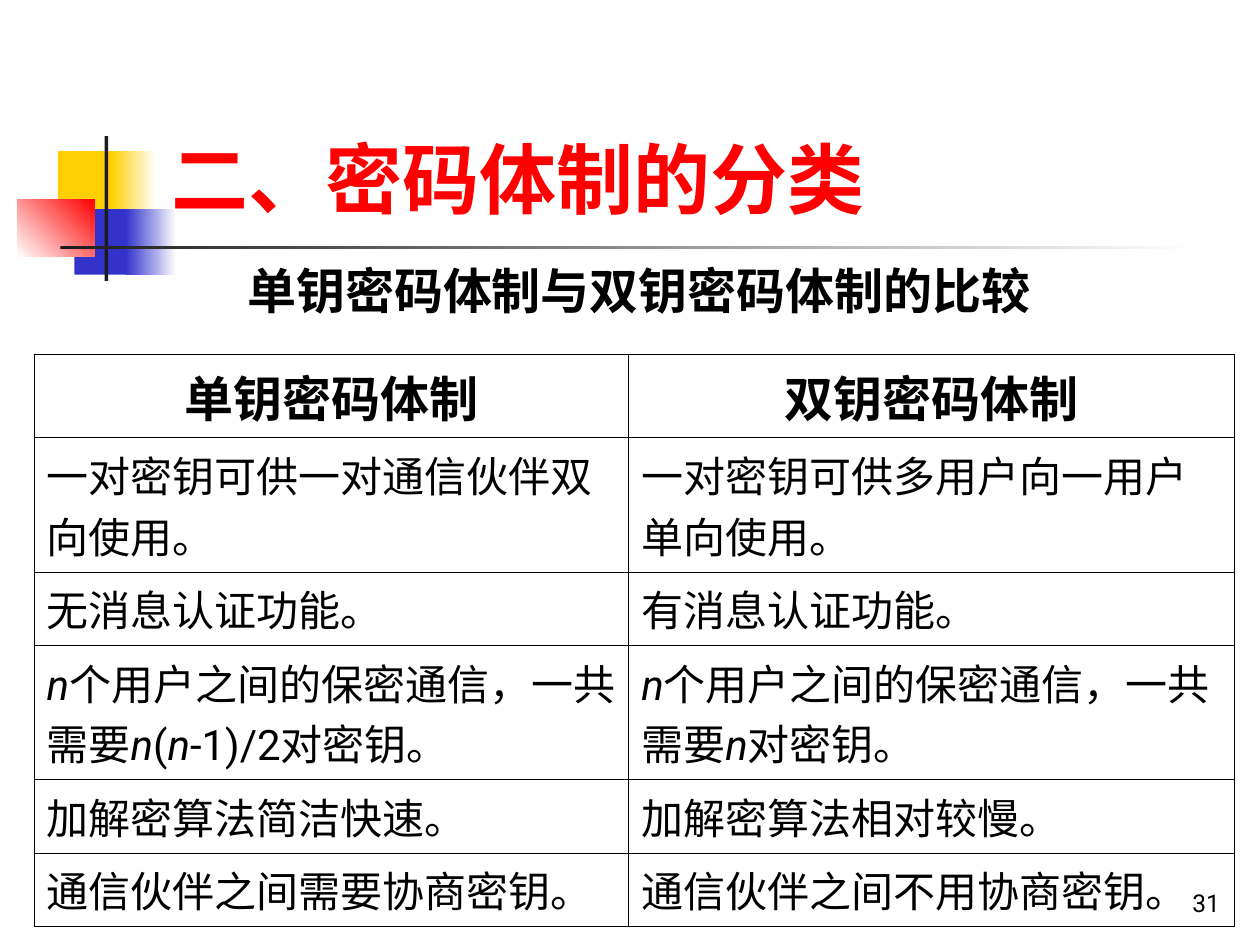
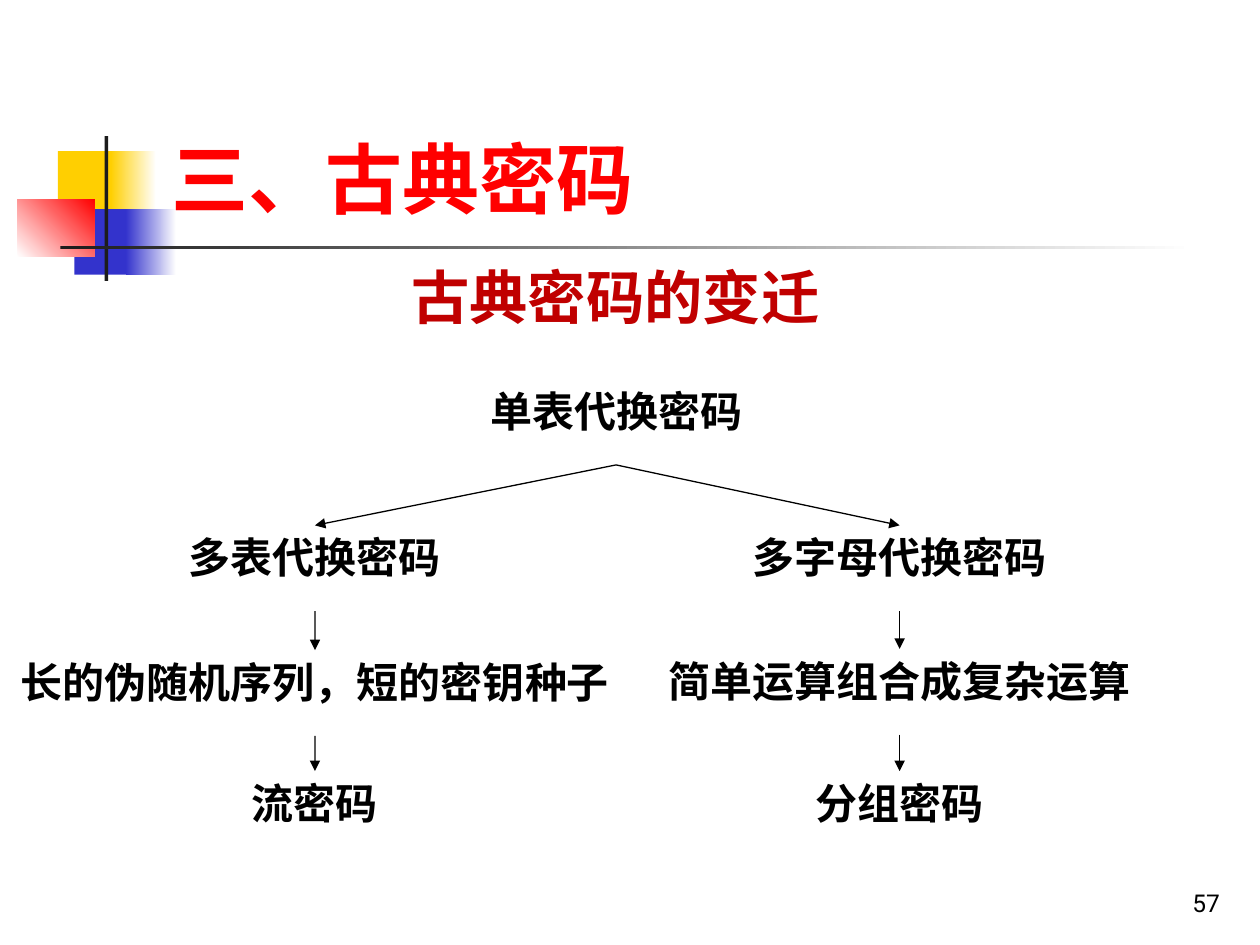
from itertools import groupby

from lxml.etree import SubElement
from pptx import Presentation
from pptx.dml.color import RGBColor
from pptx.enum.shapes import MSO_CONNECTOR, MSO_SHAPE
from pptx.enum.text import MSO_ANCHOR, PP_ALIGN
from pptx.oxml.ns import qn
from pptx.util import Inches, Pt

COLORS = {
    "black": "000000",
    "white": "FFFFFF",
    "red": "FF0000",
    "dark_red": "C00000",
    "yellow": "FFCF01",
    "blue": "3333CC",
    "ink": "1C1C1C",
}
LATIN = "Roboto"
CHINESE = "Noto Sans CJK SC"
JAPANESE = "Noto Sans CJK JP"
BOTTOM, TOP = 2, 0

DECORATION = [
    ((0.46, 1.2, 0.48, 0.52), ["yellow"], 0),
    ((0.88, 1.2, 0.36, 0.52), ["yellow", "white"], 0),
    ((0.59, 1.66, 0.46, 0.52), ["blue"], 0),
    ((1, 1.66, 0.4, 0.52), ["blue", "white"], 0),
    ((0.14, 1.58, 0.61, 0.46), ["white", "red"], 45),
    ((0.83, 1.08, 0.03, 1.15), ["ink"], 0),
    ((0.48, 1.95, 9, 0.03), ["ink", "white"], 0),
]

COMPARISON = [
    ("单钥密码体制", "双钥密码体制"),
    ("一对密钥可供一对通信伙伴双向使用。", "一对密钥可供多用户向一用户单向使用。"),
    ("无消息认证功能。", "有消息认证功能。"),
    ("n个用户之间的保密通信，一共需要n(n-1)/2对密钥。",
     "n个用户之间的保密通信，一共需要n对密钥。"),
    ("加解密算法简洁快速。", "加解密算法相对较慢。"),
    ("通信伙伴之间需要协商密钥。", "通信伙伴之间不用协商密钥。"),
]
COLUMN_WIDTHS = [4.72, 4.81]
ROW_HEIGHTS = [0.66, 1.07, 0.58, 1.07, 0.58, 0.58]

ROOT_CIPHER = ("单表代换密码", 4.89, 3.01, 5.91)
CIPHER_BRANCHES = [
    [("多表代换密码", 2.5, 4.17, 3.66),
     ("长的伪随机序列，短的密钥种子", 2.5, 5.16, 4.96),
     ("流密码", 2.5, 6.12, 3.66)],
    [("多字母代换密码", 7.14, 4.17, 3.66),
     ("简单运算组合成复杂运算", 7.14, 5.15, 4.02),
     ("分组密码", 7.14, 6.12, 3.66)],
]


def rgb(name):
    return RGBColor.from_string(COLORS[name])


def format_run(run, size, color="black", bold=False, latin=LATIN, asian=CHINESE):
    font = run.font
    font.size = Pt(size)
    font.bold = bold
    font.name = latin
    font.color.rgb = rgb(color)
    SubElement(run._r.get_or_add_rPr(), qn("a:ea"), typeface=asian)


def add_text(slide, box, text, size, align=PP_ALIGN.CENTER,
             anchor=MSO_ANCHOR.TOP, before=0, spacing=None, **style):
    shape = slide.shapes.add_textbox(*map(Inches, box))
    frame = shape.text_frame
    frame.text = text
    frame.word_wrap = True
    frame.vertical_anchor = anchor
    paragraph = frame.paragraphs[0]
    paragraph.alignment = align
    paragraph.space_before = Pt(before)
    paragraph.line_spacing = spacing
    format_run(paragraph.runs[0], size, **style)
    return shape


def add_block(slide, box, colors, angle):
    shape = slide.shapes.add_shape(MSO_SHAPE.RECTANGLE, *map(Inches, box))
    shape.shadow.inherit = False
    shape.line.fill.background()
    if len(colors) == 1:
        shape.fill.solid()
        shape.fill.fore_color.rgb = rgb(colors[0])
        return
    shape.fill.gradient()
    shape.fill.gradient_angle = angle
    for stop, color in zip(shape.fill.gradient_stops, colors):
        stop.color.rgb = rgb(color)


def add_themed_slide(presentation, title, number):
    slide = presentation.slides.add_slide(presentation.slide_layouts[6])
    for box, colors, angle in DECORATION:
        add_block(slide, box, colors, angle)
    add_text(slide, (7.7, 6.83, 2.08, 0.5), str(number), 14,
             align=PP_ALIGN.RIGHT, anchor=MSO_ANCHOR.BOTTOM)
    add_text(slide, (1.26, 0.23, 8.52, 1.6), title, 44, align=PP_ALIGN.LEFT,
             anchor=MSO_ANCHOR.BOTTOM, color="red", bold=True)
    return slide


def add_cell_borders(cell):
    properties = cell._tc.get_or_add_tcPr()
    for position, side in enumerate(("lnL", "lnR", "lnT", "lnB")):
        line = properties.makeelement(qn(f"a:{side}"), {"w": str(Pt(0.45))})
        fill = SubElement(line, qn("a:solidFill"))
        SubElement(fill, qn("a:srgbClr"), val=COLORS["black"])
        properties.insert(position, line)


def fill_cell(cell, text, is_header):
    cell.fill.background()
    add_cell_borders(cell)
    paragraph = cell.text_frame.paragraphs[0]
    paragraph.alignment = PP_ALIGN.CENTER if is_header else PP_ALIGN.LEFT
    paragraph.space_before = Pt(7 if is_header else 6)
    for is_variable, letters in groupby(text, lambda letter: letter == "n"):
        run = paragraph.add_run()
        run.text = "".join(letters)
        format_run(run, 28 if is_header else 24, bold=is_header)
        run.font.italic = is_variable


def add_comparison_table(slide):
    box = (0.27, 2.81, sum(COLUMN_WIDTHS), sum(ROW_HEIGHTS))
    table = slide.shapes.add_table(
        len(ROW_HEIGHTS), len(COLUMN_WIDTHS), *map(Inches, box)).table
    table.first_row = False
    table.horz_banding = False
    for column, width in zip(table.columns, COLUMN_WIDTHS):
        column.width = Inches(width)
    for index, (row, height) in enumerate(zip(table.rows, ROW_HEIGHTS)):
        row.height = Inches(height)
        for cell, text in zip(row.cells, COMPARISON[index]):
            fill_cell(cell, text, is_header=index == 0)


def add_cipher(slide, text, center, top, width):
    return add_text(slide, (center - width / 2, top, width, 0.68), text, 24,
                    before=6, bold=True, latin=CHINESE)


def add_arrow(slide, source, target):
    arrow = slide.shapes.add_connector(MSO_CONNECTOR.STRAIGHT, 0, 0, 0, 0)
    arrow.begin_connect(source, BOTTOM)
    arrow.end_connect(target, TOP)
    arrow.line.color.rgb = rgb("black")
    arrow.line.width = Pt(0.75)
    SubElement(arrow.line._get_or_add_ln(), qn("a:tailEnd"), type="triangle")
    SubElement(arrow._element.spPr, qn("a:effectLst"))


def add_cipher_tree(slide):
    root = add_cipher(slide, *ROOT_CIPHER)
    for branch in CIPHER_BRANCHES:
        source = root
        for cipher in branch:
            target = add_cipher(slide, *cipher)
            add_arrow(slide, source, target)
            source = target


def main():
    presentation = Presentation()
    presentation.slide_width = Inches(10)
    presentation.slide_height = Inches(7.5)

    comparison = add_themed_slide(presentation, "二、密码体制的分类", 31)
    add_text(comparison, (0.35, 2.02, 9.44, 0.7),
             "单钥密码体制与双钥密码体制的比较", 28, before=7, bold=True)
    add_comparison_table(comparison)

    evolution = add_themed_slide(presentation, "三、古典密码", 57)
    add_text(evolution, (1.93, 2.09, 5.91, 0.68), "古典密码的变迁", 33.3,
             before=9, spacing=0.9, color="dark_red", bold=True,
             latin=JAPANESE, asian=JAPANESE)
    add_cipher_tree(evolution)

    presentation.save("out.pptx")


if __name__ == "__main__":
    main()
